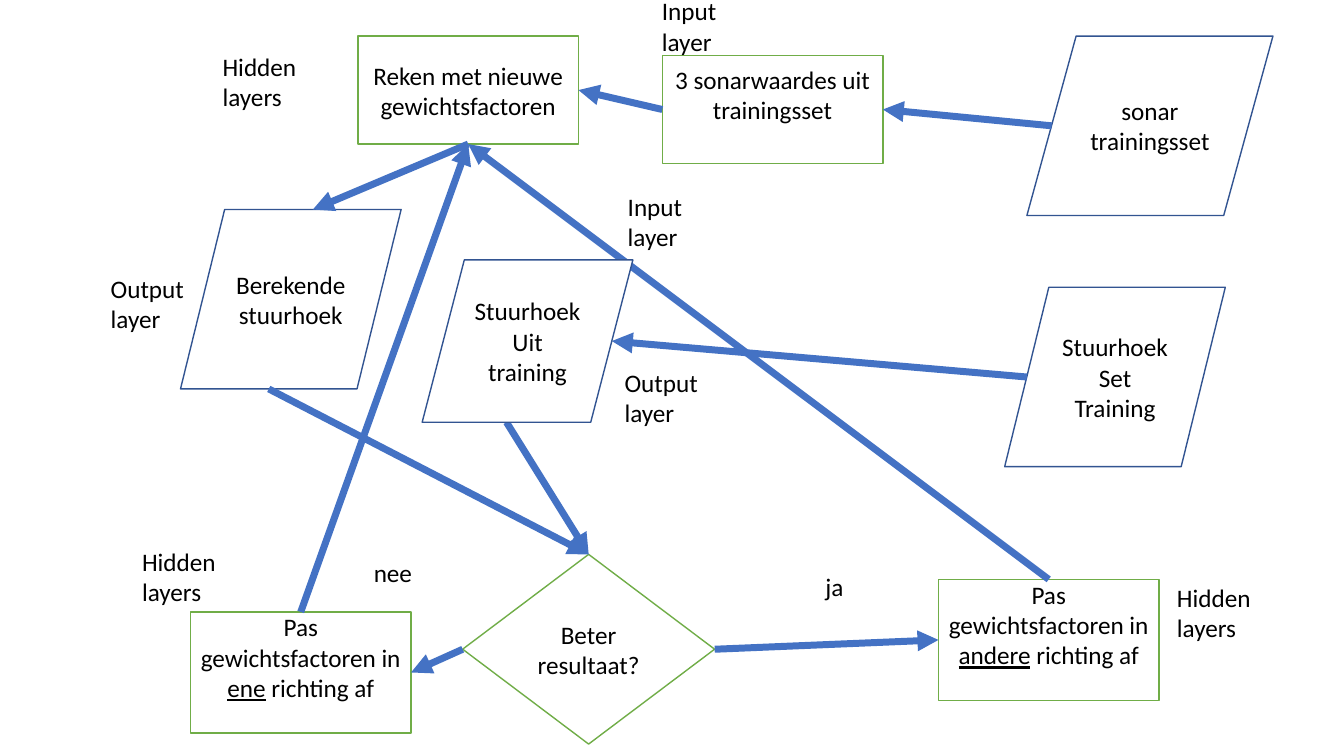
from lxml import etree
from pptx import Presentation
from pptx.dml.color import RGBColor
from pptx.enum.shapes import MSO_CONNECTOR, MSO_SHAPE
from pptx.enum.text import MSO_ANCHOR, MSO_AUTO_SIZE, PP_ALIGN
from pptx.oxml.ns import qn
from pptx.util import Cm, Pt

PROCESS = MSO_SHAPE.FLOWCHART_PROCESS
DECISION = MSO_SHAPE.FLOWCHART_DECISION
DATA = MSO_SHAPE.FLOWCHART_DATA
STRAIGHT = MSO_CONNECTOR.STRAIGHT
CENTER, LEFT = PP_ALIGN.CENTER, PP_ALIGN.LEFT
MIDDLE = MSO_ANCHOR.MIDDLE
FIT_SHAPE = MSO_AUTO_SIZE.SHAPE_TO_FIT_TEXT

WHITE = RGBColor(0xFF, 0xFF, 0xFF)
BLACK = RGBColor(0x00, 0x00, 0x00)
GREEN = RGBColor(0x70, 0xAD, 0x47)
BLUE = RGBColor(0x44, 0x72, 0xC4)
DARK_BLUE = RGBColor(0x32, 0x54, 0x91)
FONT_FORMAT = {"name": "Calibri", "size": Pt(18)}

# Content: kind, left, top, width, height (cm), text; _word_ is underlined
NODES = {
    "reken": (PROCESS, 9.02, 0.91, 5.56, 2.72, "Reken met nieuwe gewichtsfactoren"),
    "beter": (DECISION, 11.66, 13.97, 6.35, 4.78, "Beter resultaat?"),
    "berekend": (DATA, 4.55, 5.28, 5.56, 4.52, "Berekende\nstuurhoek"),
    "set": (DATA, 25.32, 7.24, 5.56, 4.52, "Stuurhoek\nSet Training"),
    "sonar": (DATA, 25.88, 0.91, 6.2, 4.52, "sonar\ntrainingsset"),
    "ene": (PROCESS, 4.8, 15.42, 5.56, 3.05,
            "Pas gewichtsfactoren in _ene_ richting af"),
    "andere": (PROCESS, 23.65, 14.6, 5.56, 3.05,
               "Pas gewichtsfactoren in _andere_ richting af"),
    "waardes": (PROCESS, 16.69, 1.4, 5.56, 2.72, "3 sonarwaardes uit trainingsset"),
    "uit": (DATA, 10.64, 6.55, 5.31, 4.09, "Stuurhoek\nUit training"),
}
RAISED_TEXT = {"ene", "andere", "waardes"}
RAISED_MARGIN = 0.9
FRONT_NODE = "uit"

TOP, LEFT_SIDE, BOTTOM, RIGHT = range(4)
ARROWS = [
    ("beter", RIGHT, "andere", LEFT_SIDE),
    ("beter", LEFT_SIDE, "ene", RIGHT),
    ("sonar", LEFT_SIDE, "waardes", RIGHT),
    ("reken", BOTTOM, "berekend", TOP),
    ("berekend", BOTTOM, "beter", TOP),
    ("uit", BOTTOM, "beter", TOP),
    ("waardes", LEFT_SIDE, "reken", RIGHT),
    ("set", LEFT_SIDE, "uit", RIGHT),
    ("ene", TOP, "reken", BOTTOM),
    ("andere", TOP, "reken", BOTTOM),
]

# Labels: left, top, width (cm), text
LABELS = [
    (20.55, 14.27, 1.35, "ja"),
    (9.17, 13.92, 2.39, "nee"),
    (5.36, 1.17, 3.1, "Hidden\nlayers"),
    (2.54, 6.76, 3.1, "Output\nlayer"),
    (29.41, 14.55, 3.1, "Hidden\nlayers"),
    (3.33, 13.64, 3.1, "Hidden\nlayers"),
    (16.43, -0.23, 3.1, "Input\nlayer"),
    (15.57, 4.7, 3.1, "Input\nlayer"),
    (15.49, 9.12, 3.1, "Output\nlayer"),
]
LABEL_PADDING, LINE_HEIGHT = 0.25, 0.77

# Side points as fractions of width and height
STRAIGHT_SIDES = [(0.5, 0), (0, 0.5), (0.5, 1), (1, 0.5)]
SLANTED_SIDES = [(0.6, 0), (0.1, 0.5), (0.4, 1), (0.9, 0.5)]


def write_text(shape, text, alignment):
    frame = shape.text_frame
    frame.word_wrap = True
    for index, line in enumerate(text.split("\n")):
        paragraph = frame.add_paragraph() if index else frame.paragraphs[0]
        paragraph.alignment = alignment
        for part, words in enumerate(line.split("_")):
            run = paragraph.add_run()
            run.text = words
            for name, value in FONT_FORMAT.items():
                setattr(run.font, name, value)
            run.font.color.rgb = BLACK
            if part % 2:
                run.font.underline = True


def add_node(slide, name):
    kind, left, top, width, height, text = NODES[name]
    shape = slide.shapes.add_shape(kind, Cm(left), Cm(top), Cm(width), Cm(height))
    shape.shadow.inherit = False
    shape.fill.solid()
    shape.fill.fore_color.rgb = WHITE
    shape.line.color.rgb = DARK_BLUE if kind == DATA else GREEN
    shape.line.width = Pt(1)
    write_text(shape, text, CENTER)
    shape.text_frame.vertical_anchor = MIDDLE
    if name in RAISED_TEXT:
        shape.text_frame.margin_bottom = Cm(RAISED_MARGIN)
    return shape


def side_point(name, side):
    kind, left, top, width, height, _ = NODES[name]
    across, down = (SLANTED_SIDES if kind == DATA else STRAIGHT_SIDES)[side]
    return Cm(left + across * width), Cm(top + down * height)


def add_arrow(slide, shapes, source, source_side, target, target_side):
    arrow = slide.shapes.add_connector(
        STRAIGHT, *side_point(source, source_side), *side_point(target, target_side))
    if NODES[source][0] != DATA:
        arrow.begin_connect(shapes[source], source_side)
    if NODES[target][0] != DATA:
        arrow.end_connect(shapes[target], target_side)
    arrow.line.color.rgb = BLUE
    arrow.line.width = Pt(5)
    properties = arrow.element.spPr
    etree.SubElement(properties.find(qn("a:ln")), qn("a:tailEnd"), type="triangle")
    etree.SubElement(properties, qn("a:effectLst"))


def add_label(slide, left, top, width, text):
    height = LABEL_PADDING + LINE_HEIGHT * len(text.split("\n"))
    box = slide.shapes.add_textbox(Cm(left), Cm(top), Cm(width), Cm(height))
    write_text(box, text, LEFT)
    box.text_frame.auto_size = FIT_SHAPE


def main():
    presentation = Presentation()
    presentation.slide_width, presentation.slide_height = Cm(33.87), Cm(19.05)
    slide = presentation.slides.add_slide(presentation.slide_layouts[6])

    # Flowchart, then its labels
    shapes = {name: add_node(slide, name) for name in NODES}
    for arrow in ARROWS:
        add_arrow(slide, shapes, *arrow)
    for label in LABELS:
        add_label(slide, *label)

    # One node lies over the long arrow
    front = shapes[FRONT_NODE].element
    front.getparent().append(front)
    presentation.save("out.pptx")


if __name__ == "__main__":
    main()
